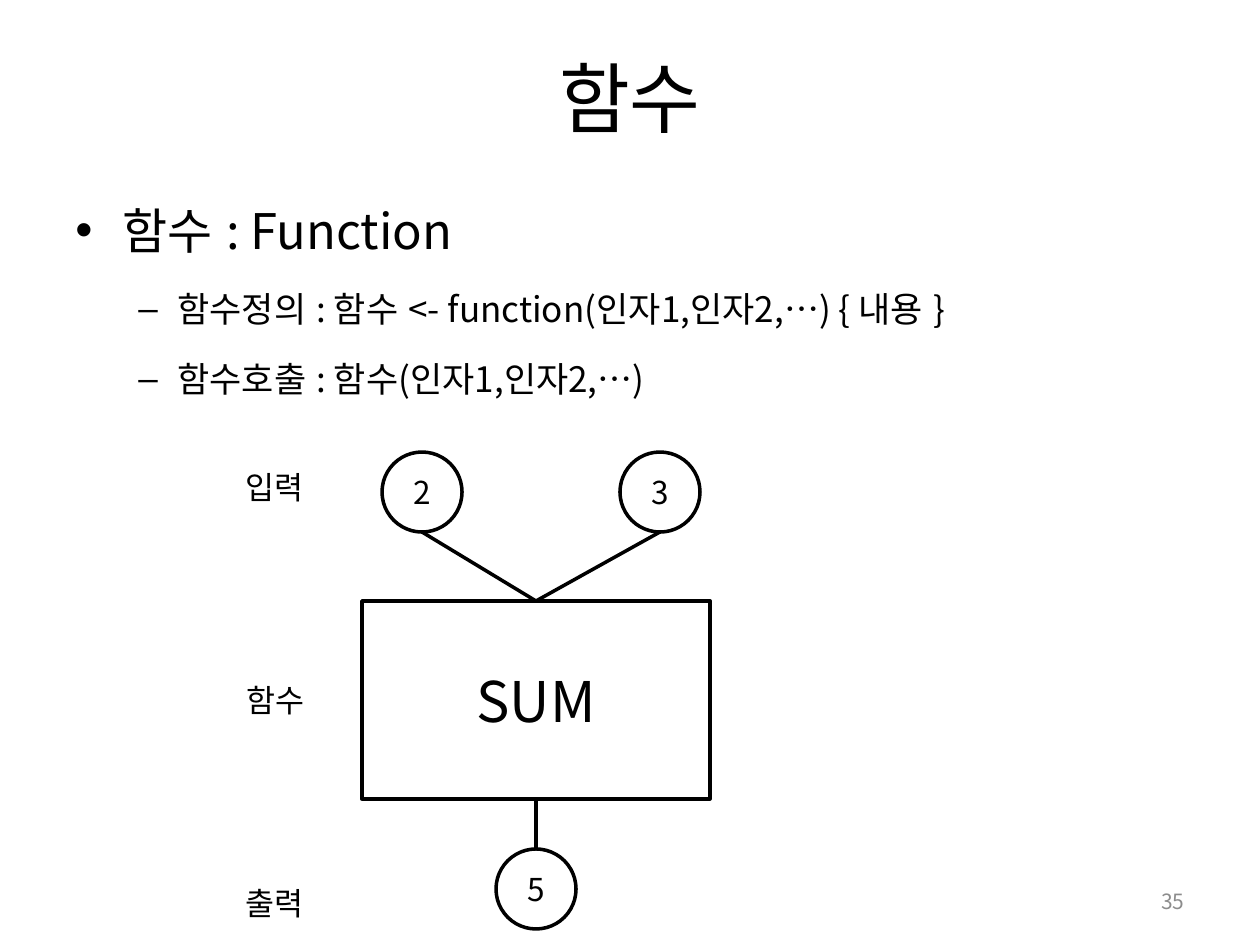
from dataclasses import dataclass

from lxml.etree import SubElement
from pptx import Presentation
from pptx.dml.color import RGBColor
from pptx.enum.lang import MSO_LANGUAGE_ID
from pptx.enum.shapes import MSO_CONNECTOR, MSO_SHAPE
from pptx.enum.text import MSO_ANCHOR, PP_ALIGN
from pptx.oxml.ns import qn
from pptx.util import Emu, Pt

SCALE = 914400 / 126
FONT = "Noto Sans CJK KR"
BLACK = "000000"


@dataclass
class Node:
    text: str
    kind: MSO_SHAPE
    left: int
    top: int
    width: int
    height: int
    size: int = 18

    @property
    def mid(self) -> int:
        return self.left + self.width // 2

    @property
    def base(self) -> int:
        return self.top + self.height


@dataclass
class Label:
    text: str
    left: int
    top: int


@dataclass
class Item:
    text: str
    mark: str
    level: int
    size: int
    left: int
    hang: int
    before: float


def px(num: int) -> Emu:
    return Emu(round(num * SCALE))


def color(code: str) -> RGBColor:
    return RGBColor.from_string(code)


def write(para, text: str, size: int, align=PP_ALIGN.LEFT,
          code: str = BLACK, face: str = FONT) -> None:
    para.alignment = align
    run = para.add_run()
    run.text = text
    font = run.font
    font.size = Pt(size)
    font.name = face
    font.color.rgb = color(code)
    font.language_id = MSO_LANGUAGE_ID.KOREAN
    SubElement(run._r.get_or_add_rPr(), qn("a:ea"), typeface=FONT)


def add_box(slide, left: int, top: int, width: int, height: int,
            wrap: bool = True):
    box = slide.shapes.add_textbox(px(left), px(top), px(width), px(height))
    box.text_frame.word_wrap = wrap
    return box.text_frame


def add_item(para, item: Item) -> None:
    para.level = item.level
    para.line_spacing = 1.5
    para.space_before = Pt(item.before)
    props = para._p.get_or_add_pPr()
    props.set("marL", str(px(item.left)))
    props.set("indent", str(px(-item.hang)))
    SubElement(props, qn("a:buFont"), typeface="Arial")
    SubElement(props, qn("a:buChar"), char=item.mark)
    write(para, item.text, item.size)


def add_node(slide, node: Node) -> None:
    shape = slide.shapes.add_shape(
        node.kind, px(node.left), px(node.top), px(node.width), px(node.height))
    shape.shadow.inherit = False
    shape.fill.background()
    shape.line.color.rgb = color(BLACK)
    shape.line.width = Pt(2)
    frame = shape.text_frame
    frame.vertical_anchor = MSO_ANCHOR.MIDDLE
    write(frame.paragraphs[0], node.text, node.size, PP_ALIGN.CENTER)


def add_link(slide, start: Node, end: Node) -> None:
    line = slide.shapes.add_connector(
        MSO_CONNECTOR.STRAIGHT,
        px(start.mid), px(start.base), px(end.mid), px(end.top))
    line.line.color.rgb = color(BLACK)
    line.line.width = Pt(2)
    SubElement(line._element.spPr, qn("a:effectLst"))


def add_label(slide, label: Label) -> None:
    frame = add_box(slide, label.left, label.top, 89, 50, False)
    write(frame.paragraphs[0], label.text, 18)


def ring(text: str, left: int, top: int) -> Node:
    return Node(text, MSO_SHAPE.OVAL, left, top, 80, 80)


ITEMS = [
    Item("함수 : Function", "•", 0, 28, 47, 47, 0),
    Item("함수정의 : 함수 <- function(인자1,인자2,…) { 내용 }",
         "–", 1, 20, 102, 39, 4),
    Item("함수호출 : 함수(인자1,인자2,…)", "–", 1, 20, 102, 39, 4),
]
SUM = Node("SUM", MSO_SHAPE.RECTANGLE, 362, 601, 348, 198, 32)
TWO = ring("2", 382, 452)
THREE = ring("3", 620, 452)
FIVE = ring("5", 496, 849)
LINKS = [(TWO, SUM), (THREE, SUM), (SUM, FIVE)]
LABELS = [
    Label("입력", 233, 462),
    Label("출력", 233, 878),
    Label("함수", 234, 675),
]


def main() -> None:
    deck = Presentation()
    deck.slide_width, deck.slide_height = px(1260), px(945)
    slide = deck.slides.add_slide(deck.slide_layouts[5])

    title = slide.shapes.title
    title.left, title.top = px(63), px(38)
    title.width, title.height = px(1134), px(117)
    title.text_frame.vertical_anchor = MSO_ANCHOR.MIDDLE
    write(title.text_frame.paragraphs[0], "함수", 44, PP_ALIGN.CENTER,
          face="Arial")

    body = add_box(slide, 63, 165, 1134, 694)
    for num, item in enumerate(ITEMS):
        para = body.add_paragraph() if num else body.paragraphs[0]
        add_item(para, item)

    for node in (SUM, TWO, THREE, FIVE):
        add_node(slide, node)
    for start, end in LINKS:
        add_link(slide, start, end)
    for label in LABELS:
        add_label(slide, label)

    page = add_box(slide, 903, 876, 294, 50)
    page.vertical_anchor = MSO_ANCHOR.MIDDLE
    write(page.paragraphs[0], "35", 12, PP_ALIGN.RIGHT, "8C8C8C")

    deck.save("out.pptx")


if __name__ == "__main__":
    main()
